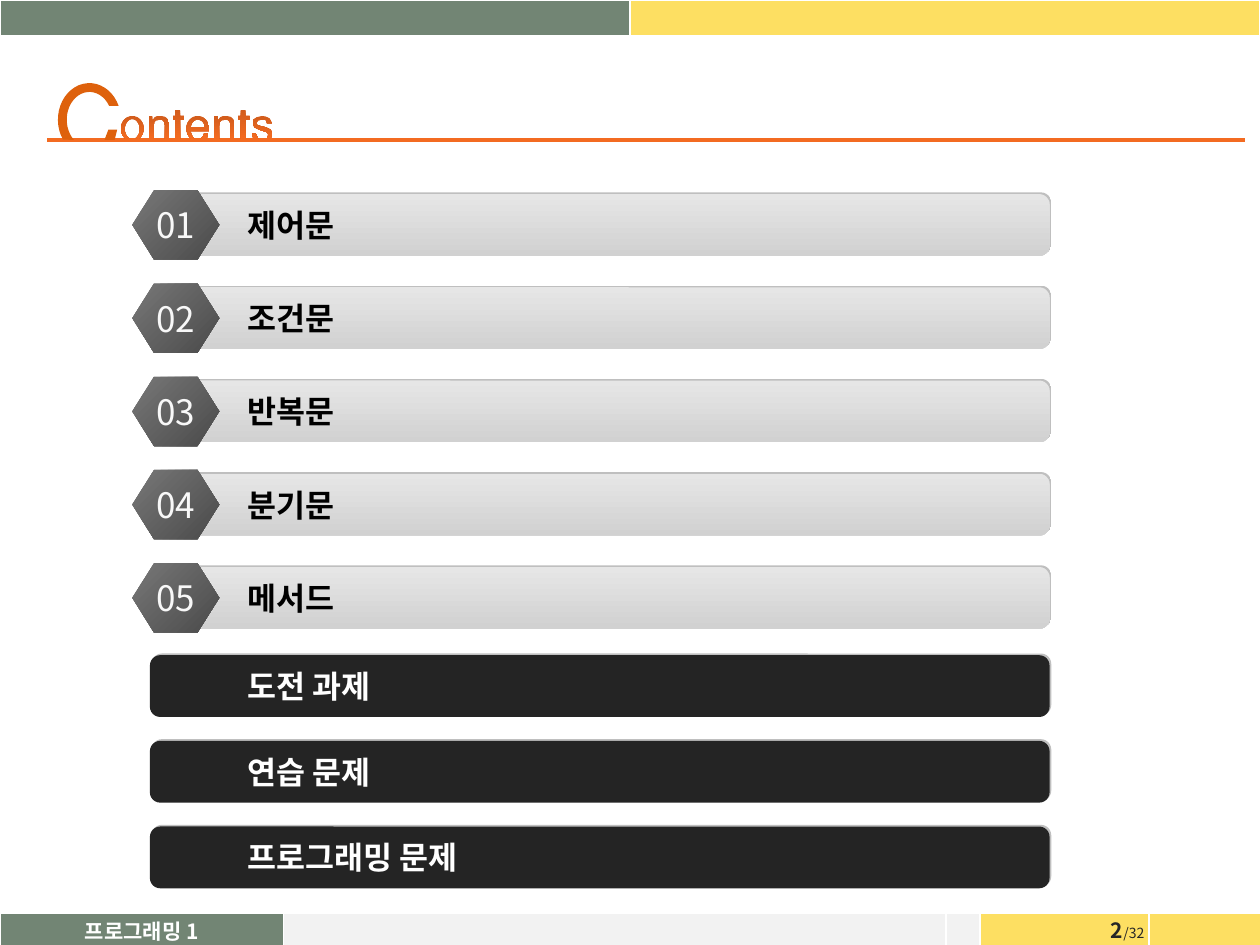
from math import cos, radians, sin

from lxml import etree
from pptx import Presentation
from pptx.dml.color import RGBColor
from pptx.enum.shapes import MSO_CONNECTOR, MSO_SHAPE
from pptx.enum.text import MSO_ANCHOR, PP_ALIGN
from pptx.oxml.ns import qn
from pptx.util import Inches, Pt

ROUNDED, HEXAGON = MSO_SHAPE.ROUNDED_RECTANGLE, MSO_SHAPE.HEXAGON
MIDDLE = MSO_ANCHOR.MIDDLE
LEFT, CENTER = PP_ALIGN.LEFT, PP_ALIGN.CENTER
FONT = "Noto Sans CJK KR"

GREEN = RGBColor(0x72, 0x85, 0x74)
YELLOW = RGBColor(0xFD, 0xDF, 0x62)
PALE = RGBColor(0xF2, 0xF2, 0xF2)
WHITE = RGBColor(0xFF, 0xFF, 0xFF)
BLACK = RGBColor(0, 0, 0)
INK = RGBColor(0x26, 0x26, 0x26)
DARK = RGBColor(0x24, 0x24, 0x24)
NUMBER_COLOR = RGBColor(0xF8, 0xF8, 0xF8)
ORANGE = RGBColor(0xF3, 0x6B, 0x21)
CAPITAL_ORANGE = RGBColor(0xDE, 0x61, 0x0C)
LETTER_GRADIENT = (RGBColor(0xD2, 0x5C, 0x1C), ORANGE)
BAR_GRADIENT = (RGBColor(0xE6, 0xE6, 0xE6), RGBColor(0xD1, 0xD1, 0xD1))
BADGE_GRADIENT = (RGBColor(0x77, 0x77, 0x77), RGBColor(0x4B, 0x4B, 0x4B))

# Content
CHAPTERS = ["제어문", "조건문", "반복문", "분기문", "메서드"]
EXERCISES = ["도전 과제", "연습 문제", "프로그래밍 문제"]
COURSE = "프로그래밍 1"
PAGE, PAGE_COUNT = "2", "/32"
HEADER = [(5, GREEN, ""), (5, YELLOW, "")]
FOOTER = [(2.25, GREEN, COURSE), (5.26, PALE, ""), (0.27, PALE, ""),
          (1.34, YELLOW, ""), (0.91, YELLOW, "")]

# Layout in inches
BAR_LEFT, BAR_WIDTH, BAR_HEIGHT = 1.19, 7.14, 0.49
BADGE_LEFT, BADGE_WIDTH, BADGE_HEIGHT = 1.05, 0.69, 0.55
CHAPTER_TOP, CHAPTER_PITCH = 1.54, 0.74
EXERCISE_TOP, EXERCISE_PITCH = 5.2, 0.68
TITLE_TOP = 0.92


def arc(center_x, center_y, radius_x, radius_y, start, end, steps=24):
    angles = [radians(start + (end - start) * i / steps) for i in range(steps + 1)]
    return [(center_x + radius_x * cos(a), center_y + radius_y * sin(a)) for a in angles]


# Title letters cut off at the rule: contours in hundredths of an inch
GLYPHS = {
    "C": [arc(25, 3, 25, 29, 147, 338) + arc(25, 3, 18, 22, 330, 133),
          [(40, 11), (37, 19), (45, 19), (47, 11)]],
    "o": [arc(9, 10, 9, 10, 127, 413) + arc(9, 10.5, 6, 8, 425, 115)],
    "n": [[(0, 18), (0, 0), (3, 0), (3, 3.5), (5, 1), (7, 0), (10, 0), (13, 0.7),
           (15, 2.5), (16, 5), (16, 18), (13, 18), (13, 8), (12.5, 5), (11, 3.3),
           (9, 3), (6, 3.5), (4.5, 5), (4, 8), (4, 18)]],
    "t": [[(2, 18), (2, 3), (0, 3), (0, 0), (2, 0), (2, -5), (6, -5), (6, 0),
           (9, 0), (9, 3), (6, 3), (6, 18)]],
    "e": [arc(9, 10, 9, 10, 127, 370) + [(18, 12), (3.3, 12), (4, 15), (6, 18)],
          arc(9, 9, 5.5, 6, 360, 180),
          [(14, 14), (13, 16.5), (11, 18), (16, 18), (17.5, 14)]],
    "s": [[(15, 11), (11, 9), (7, 8), (4, 7), (4, 5), (5, 3.5), (8, 3), (11, 3.3),
           (12, 6), (16, 6), (14, 2), (11, 0.5), (8, 0), (4, 1), (1, 3), (1, 7),
           (2, 9), (6, 11), (9, 12), (12, 13), (13, 15), (12, 18), (15, 18), (16, 14)],
          [(4, 16), (3, 14), (0, 14), (1, 17.5), (1, 18), (5, 18)]],
}
TITLE = [("C", 0.46), ("o", 0.96), ("n", 1.18), ("t", 1.37),
         ("e", 1.48), ("n", 1.70), ("t", 1.89), ("s", 2.00)]


def set_font(font, size, color, bold=False):
    font.name, font.size, font.bold = FONT, Pt(size), bold
    font.color.rgb = color
    etree.SubElement(font._rPr, qn("a:ea"), typeface=FONT)


def write(text_frame, text, size, color, bold=False, align=LEFT):
    paragraph = text_frame.paragraphs[0]
    paragraph.text, paragraph.alignment = text, align
    set_font(paragraph.font, size, color, bold)


def paint(shape, fill, angle=270):
    """A pair of colours gives a gradient, a single colour a solid fill."""
    shape.shadow.inherit = False
    shape.line.fill.background()
    if isinstance(fill, RGBColor):
        shape.fill.solid()
        shape.fill.fore_color.rgb = fill
        return
    shape.fill.gradient()
    shape.fill.gradient_angle = angle
    for stop, color in zip(shape.fill.gradient_stops, fill):
        stop.color.rgb = color


def add_strip(slide, top, height, columns):
    width = sum(column[0] for column in columns)
    table = slide.shapes.add_table(1, len(columns), 0, Inches(top),
                                   Inches(width), Inches(height)).table
    table.first_row = table.horz_banding = False
    for index, (column_width, color, text) in enumerate(columns):
        table.columns[index].width = Inches(column_width)
        cell = table.cell(0, index)
        cell.fill.solid()
        cell.fill.fore_color.rgb = color
        cell.margin_left = cell.margin_right = cell.margin_top = cell.margin_bottom = 0
        cell.vertical_anchor = MIDDLE
        if text:
            write(cell.text_frame, text, 12, WHITE, True, CENTER)
        else:  # keeps the empty cell from growing the row
            etree.SubElement(cell.text_frame.paragraphs[0]._p, qn("a:endParaRPr"), sz="800")


def add_letter(slide, letter, left):
    builder = None
    for contour in GLYPHS[letter]:
        points = [(Inches(left + x / 100), Inches(TITLE_TOP + y / 100)) for x, y in contour]
        if builder is None:
            builder = slide.shapes.build_freeform(*points[0], scale=1.0)
        else:
            builder.move_to(*points[0])
        builder.add_line_segments(points[1:], close=True)
    paint(builder.convert_to_shape(), CAPITAL_ORANGE if letter == "C" else LETTER_GRADIENT)


def add_bar(slide, top, text, fill, color):
    bar = slide.shapes.add_shape(ROUNDED, Inches(BAR_LEFT), Inches(top),
                                 Inches(BAR_WIDTH), Inches(BAR_HEIGHT))
    bar.adjustments[0] = 0.167
    paint(bar, fill)
    effects = bar._element.spPr.find(qn("a:effectLst"))
    shadow = etree.SubElement(effects, qn("a:outerShdw"), blurRad="0", dist=str(Pt(1.4)),
                              dir=str(315 * 60000), algn="bl", rotWithShape="0")
    etree.SubElement(shadow, qn("a:srgbClr"), val="BFBFBF")
    bar.text_frame.margin_left = Inches(0.75)
    bar.text_frame.vertical_anchor = MIDDLE
    write(bar.text_frame, text, 18, color, True)


def add_badge(slide, bar_top, text):
    top = bar_top - (BADGE_HEIGHT - BAR_HEIGHT) / 2
    badge = slide.shapes.add_shape(HEXAGON, Inches(BADGE_LEFT), Inches(top),
                                   Inches(BADGE_WIDTH), Inches(BADGE_HEIGHT))
    badge.adjustments[0] = 0.314
    paint(badge, BADGE_GRADIENT, 315)
    badge.text_frame.word_wrap = False
    badge.text_frame.vertical_anchor = MIDDLE
    write(badge.text_frame, text, 20, NUMBER_COLOR, align=CENTER)


def main():
    presentation = Presentation()
    presentation.slide_width, presentation.slide_height = Inches(10), Inches(7.5)
    slide = presentation.slides.add_slide(presentation.slide_layouts[6])

    # Footer, page number and header
    add_strip(slide, 7.25, 0.27, FOOTER)
    number = slide.shapes.add_textbox(Inches(8.47), Inches(7.25), Inches(0.96), Inches(0.26))
    frame = number.text_frame
    frame.word_wrap, frame.vertical_anchor = False, MIDDLE
    frame.margin_left = frame.margin_right = 0
    frame.paragraphs[0].alignment = CENTER
    for text, size, bold in [(PAGE, 12, True), (PAGE_COUNT, 8, False)]:
        run = frame.paragraphs[0].add_run()
        run.text = text
        set_font(run.font, size, INK, bold)
    add_strip(slide, 0, 0.28, HEADER)

    # Title with its rule
    rule = slide.shapes.add_connector(MSO_CONNECTOR.STRAIGHT, Inches(9.88), Inches(1.11),
                                      Inches(0.37), Inches(1.11))
    rule.line.color.rgb, rule.line.width = ORANGE, Pt(2.25)
    etree.SubElement(rule._element.spPr, qn("a:effectLst"))
    for letter, left in TITLE:
        add_letter(slide, letter, left)

    # Numbered chapters, then exercises
    for index, chapter in enumerate(CHAPTERS):
        top = CHAPTER_TOP + index * CHAPTER_PITCH
        add_bar(slide, top, chapter, BAR_GRADIENT, BLACK)
        add_badge(slide, top, f"{index + 1:02}")
    for index, exercise in enumerate(EXERCISES):
        add_bar(slide, EXERCISE_TOP + index * EXERCISE_PITCH, exercise, DARK, WHITE)

    presentation.save("out.pptx")


if __name__ == "__main__":
    main()
